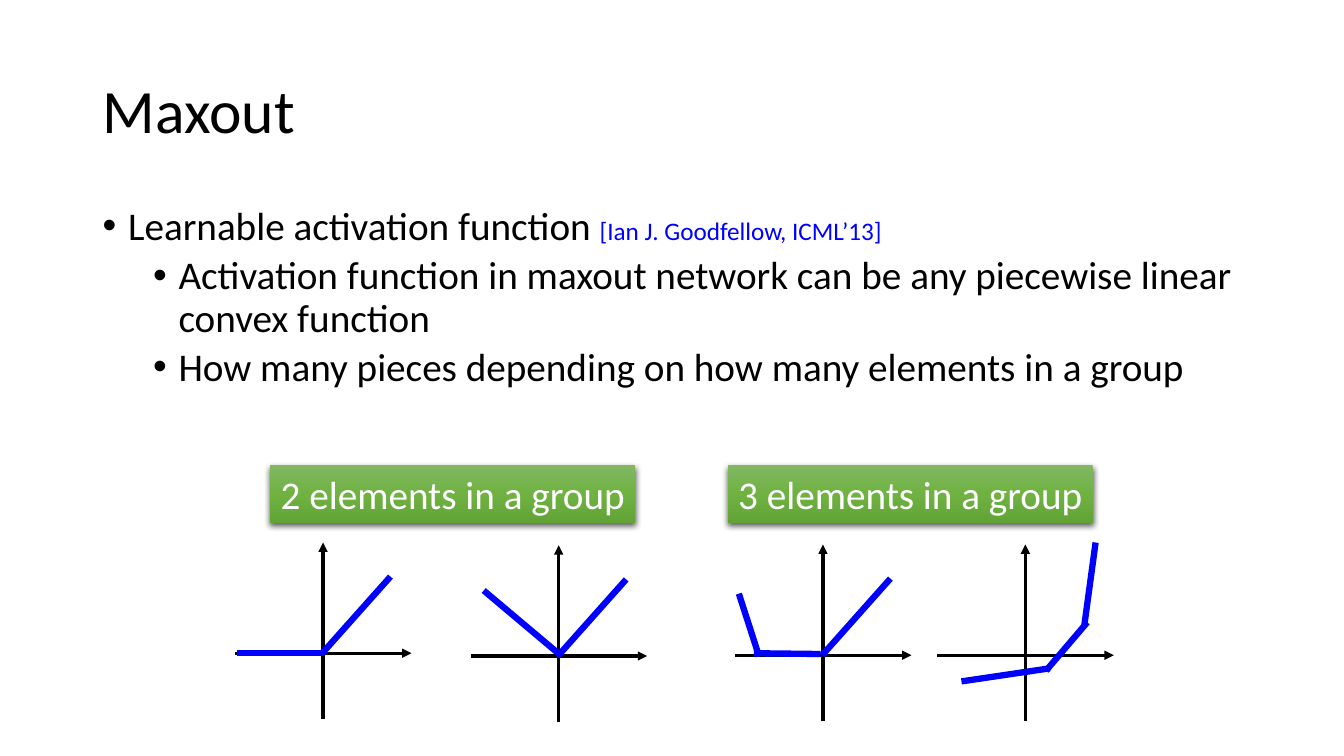
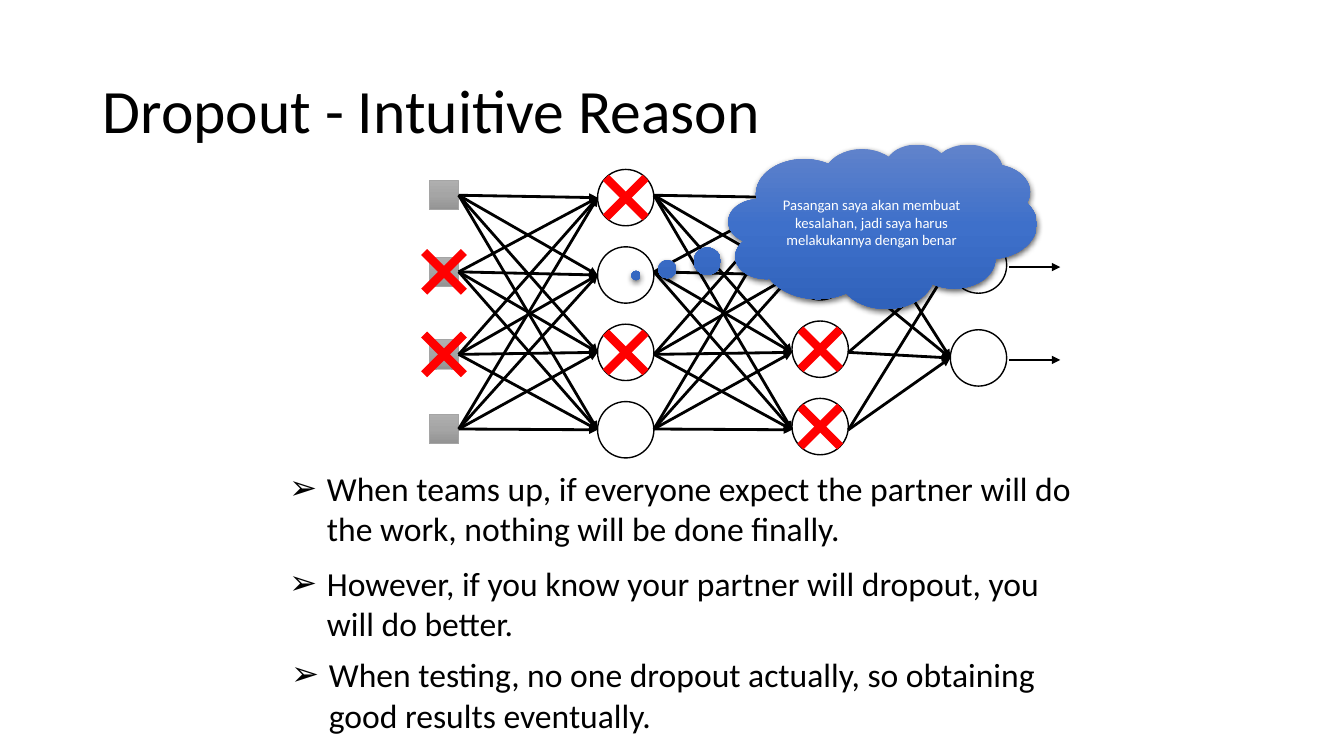
from copy import deepcopy
from itertools import product

from lxml.etree import SubElement as Sub
from pptx import Presentation
from pptx.dml.color import RGBColor
from pptx.enum.shapes import MSO_CONNECTOR as Link, MSO_SHAPE as Form
from pptx.enum.text import MSO_ANCHOR as Anchor, PP_ALIGN as Align
from pptx.oxml.ns import qn
from pptx.util import Cm, Pt

FONT = "Calibri"
BLACK, WHITE, BLUE, RED, GRAY = "000000", "FFFFFF", "0000FF", "FF0000", "A5A5A5"
GREENS = ("81B861", "6FB242", "62A336")
BLUES = ("6183CB", "3E70CA", "3062BB")
GRAYS = ("AFAFAF", "A5A5A5", "939393")

AXIS_X, AXIS_Y, SPAN = 2.22, 2.79, 4.45
RAMP = (2.2, 2.79, 3.92, 0.86)
DISC, TILE, STEP = 1.42, 0.74, 1.95


def paint(code):
    return RGBColor.from_string(code)


def style(font, size, code):
    font.name, font.size, font.color.rgb = FONT, Pt(size), paint(code)


def blend(shape, codes):
    """Fill a shape with an even gradient from top to bottom."""
    fill = shape.fill
    fill.gradient()
    fill.gradient_angle = 270
    stops = shape._element.spPr.find(qn("a:gradFill")).find(qn("a:gsLst"))
    while len(stops) < len(codes):
        stops.append(deepcopy(stops[0]))
    for i, (stop, code) in enumerate(zip(fill.gradient_stops, codes)):
        stop.position = i / (len(codes) - 1)
        stop.color.rgb = paint(code)


def shade(shape):
    """Give a shape a soft shadow that falls straight down."""
    cast = Sub(shape._element.spPr.find(qn("a:effectLst")), qn("a:outerShdw"),
               blurRad=str(Pt(4.5)), dist=str(Pt(1.5)), dir="5400000",
               algn="ctr", rotWithShape="0")
    tint = Sub(cast, qn("a:srgbClr"), val=BLACK)
    Sub(tint, qn("a:alpha"), val="63000")


def form(slide, kind, x, y, w, h, codes=None, edge=None, width=1):
    shape = slide.shapes.add_shape(kind, Cm(x), Cm(y), Cm(w), Cm(h))
    shape.shadow.inherit = False
    if codes:
        blend(shape, codes)
    else:
        shape.fill.background()
    if edge:
        shape.line.color.rgb = paint(edge)
        shape.line.width = Pt(width)
    else:
        shape.line.fill.background()
    return shape


def line(slide, x1, y1, x2, y2, code, width, arrow=False):
    link = slide.shapes.add_connector(
        Link.STRAIGHT, Cm(x1), Cm(y1), Cm(x2), Cm(y2))
    link.line.color.rgb = paint(code)
    link.line.width = Pt(width)
    props = link._element.spPr
    if arrow:
        Sub(props.find(qn("a:ln")), qn("a:tailEnd"), type="triangle")
    Sub(props, qn("a:effectLst"))
    return link


def frame(slide, x, y, w, h, anchor=Anchor.TOP):
    text = slide.shapes.add_textbox(Cm(x), Cm(y), Cm(w), Cm(h)).text_frame
    text.word_wrap = True
    text.vertical_anchor = anchor
    return text


def bullet(para, sign, left, hang):
    props = para._p.get_or_add_pPr()
    props.set("marL", str(Cm(left)))
    props.set("indent", str(-Cm(hang)))
    Sub(props, qn("a:buFont"), typeface="Arial")
    Sub(props, qn("a:buChar"), char=sign)


def page(deck, title):
    """Add a blank slide with its title."""
    slide = deck.slides.add_slide(deck.slide_layouts[6])
    para = frame(slide, 2.34, 1.02, 29.21, 3.68, Anchor.MIDDLE).paragraphs[0]
    para.text = title
    para.line_spacing = 0.9
    style(para.font, 44, BLACK)
    return slide


def outline(slide, x, y, w, h):
    text = frame(slide, x, y, w, h)
    rows = (
        (0, "Learnable activation function "),
        (1, "Activation function in maxout network can be any piecewise "
            "linear convex function"),
        (1, "How many pieces depending on how many elements in a group"),
    )
    for i, (level, words) in enumerate(rows):
        para = text.add_paragraph() if i else text.paragraphs[0]
        para.level = level
        bullet(para, "•", 0.64 + 1.27 * level, 0.64)
        para.line_spacing = 0.9
        para.space_before = Pt(5 if level else 10)
        para.add_run().text = words
        style(para.font, 28, BLACK)
    cite = text.paragraphs[0].add_run()
    cite.text = "[Ian J. Goodfellow, ICML’13]"
    style(cite.font, 18, BLUE)


def label(slide, x, y, words):
    box = form(slide, Form.RECTANGLE, x, y, 9.2, 1.45, GREENS)
    shade(box)
    box.text_frame.word_wrap = False
    para = box.text_frame.paragraphs[0]
    para.text = words
    para.alignment = Align.CENTER
    style(para.font, 28, WHITE)


def plot(slide, x, y, strokes):
    """Draw axes and the pieces of a function, measured from the box corner."""
    line(slide, x, y + AXIS_Y, x + SPAN, y + AXIS_Y, BLACK, 2.25, True)
    line(slide, x + AXIS_X, y + SPAN, x + AXIS_X, y, BLACK, 2.25, True)
    for x1, y1, x2, y2 in strokes:
        line(slide, x + x1, y + y1, x + x2, y + y2, BLUE, 4.5)


def cross(slide, x, y, arm=0.5):
    """Strike out the node centred on a point."""
    for side in (arm, -arm):
        line(slide, x - arm, y - side, x + arm, y + side, RED, 6)


def net(slide, x, y):
    """Draw the layers of a network with some nodes dropped."""
    tops = [y + d for d in (0.36, 2.29, 4.37, 6.25)]
    first = [y + 0.08 + STEP * i for i in range(4)]
    second = [y + STEP * i for i in range(4)]
    last = [y + 1.78, y + 4.12]
    x1, x2, x3 = x + 4.24, x + 9.14, x + 13.13
    half = DISC / 2

    tiles = [form(slide, Form.RECTANGLE, x, top, TILE, TILE, GRAYS, GRAY, 0.5)
             for top in tops]
    for left, col in ((x1, first), (x2, second), (x3, last)):
        for top in col:
            form(slide, Form.OVAL, left, top, DISC, DISC, edge=BLACK)

    starts = [top + TILE / 2 for top in tops]
    rows = [top + half for top in first]
    ends = [top + half for top in last]
    for (tile, start), row in product(zip(tiles, starts), rows):
        link = line(slide, x + TILE, start, x1, row, BLACK, 2, True)
        link.begin_connect(tile, 3)
    for start, row in product(starts, rows):
        line(slide, x1 + DISC, start, x2, row, BLACK, 2, True)
    for row, end in product(rows, ends):
        line(slide, x2 + DISC, row, x3, end, BLACK, 2, True)
    for end in ends:
        line(slide, x3 + 1.48, end + 0.05, x3 + 2.77, end + 0.05,
             BLACK, 2, True)

    for i in (1, 2):
        cross(slide, x + TILE / 2, starts[i])
    for left, top in ((x1, first[0]), (x1, first[2]),
                      (x2, second[2]), (x2, second[3])):
        cross(slide, left + half, top + half)


def cloud(slide, x, y, w, h, words):
    shape = form(slide, Form.CLOUD_CALLOUT, x, y, w, h, BLUES)
    shape.adjustments[0], shape.adjustments[1] = -0.8, 0.3
    shade(shape)
    text = shape.text_frame
    text.word_wrap = True
    text.vertical_anchor = Anchor.MIDDLE
    para = text.paragraphs[0]
    para.text = words
    para.alignment = Align.CENTER
    style(para.font, 10.5, WHITE)


def point(slide, x, y, w, words):
    para = frame(slide, x, y, w, 2.31).paragraphs[0]
    bullet(para, "➢", 0.95, 0.95)
    para.text = words
    style(para.font, 24, BLACK)


def maxout(deck):
    slide = page(deck, "Maxout")
    outline(slide, 2.34, 5.08, 29.21, 12.09)
    for x, count in ((6.81, 2), (18.34, 3)):
        label(slide, x, 11.73, f"{count} elements in a group")
    plots = (
        (5.92, 13.67, [(0.05, 2.79, 2.26, 2.79), RAMP]),
        (11.86, 13.74, [(0.33, 1.14, 2.29, 2.79), RAMP]),
        (18.52, 13.72, [(0.1, 1.24, 0.61, 2.82), RAMP,
                        (0.48, 2.74, 2.16, 2.76)]),
        (23.62, 13.72, [(0.61, 3.45, 2.84, 3.12), (2.74, 3.18, 3.78, 1.96),
                        (3.71, 2.01, 3.99, -0.05)]),
    )
    for x, y, strokes in plots:
        plot(slide, x, y, strokes)


def dropout(deck):
    slide = page(deck, "Dropout - Intuitive Reason")
    net(slide, 10.82, 4.19)
    cloud(slide, 18.36, 3.63, 7.77, 4.14,
          "Pasangan saya akan membuat kesalahan, jadi saya harus "
          "melakukannya dengan benar")
    point(slide, 7.04, 11.66, 20.3,
          "When teams up, if everyone expect the partner will do the work, "
          "nothing will be done finally.")
    point(slide, 7.04, 14.05, 19.6,
          "However, if you know your partner will dropout, you will do better.")
    point(slide, 7.09, 16.36, 20.4,
          "When testing, no one dropout actually, so obtaining good results "
          "eventually.")


def main():
    deck = Presentation()
    deck.slide_width, deck.slide_height = Cm(33.87), Cm(19.05)
    maxout(deck)
    dropout(deck)
    deck.save("out.pptx")


if __name__ == "__main__":
    main()
